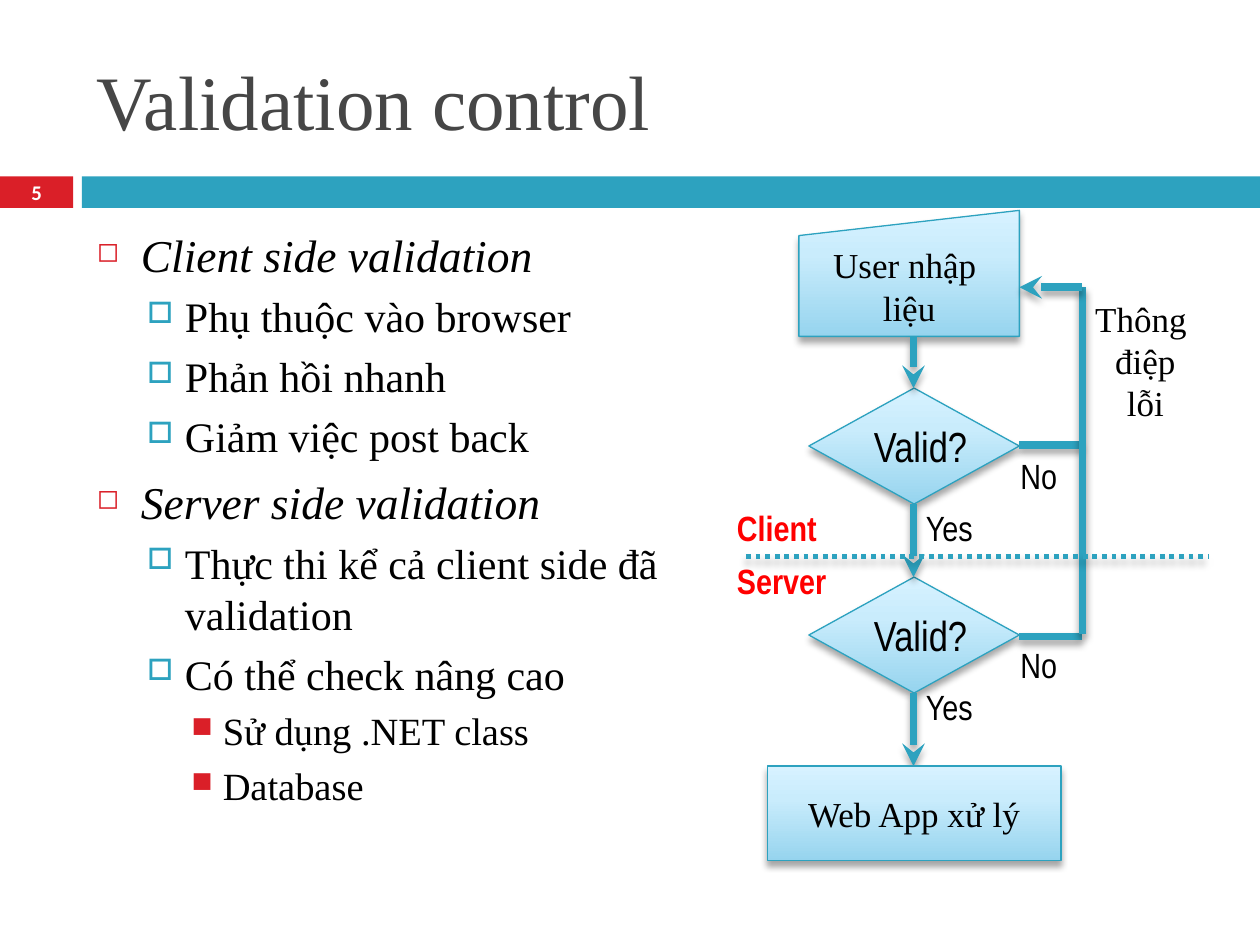
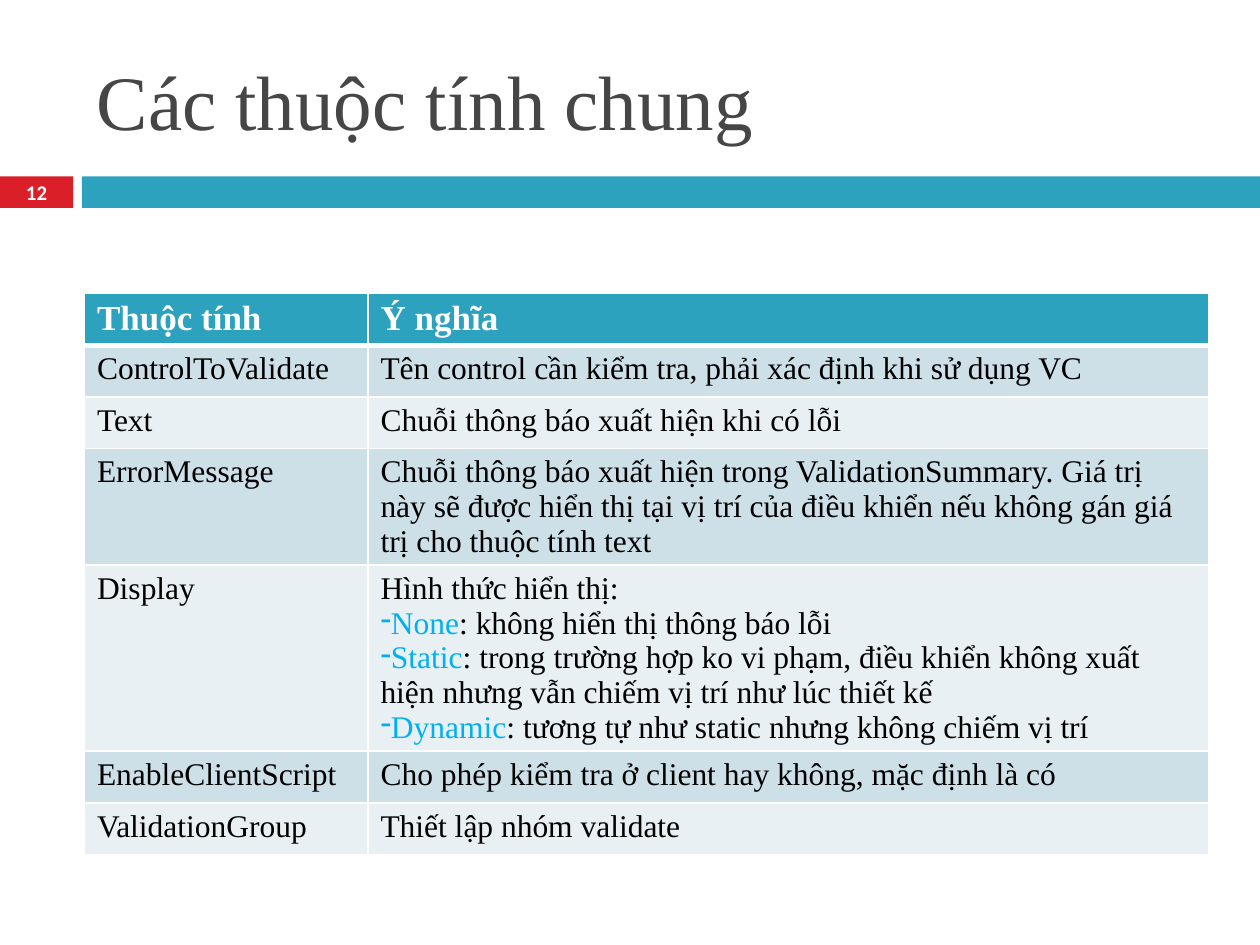
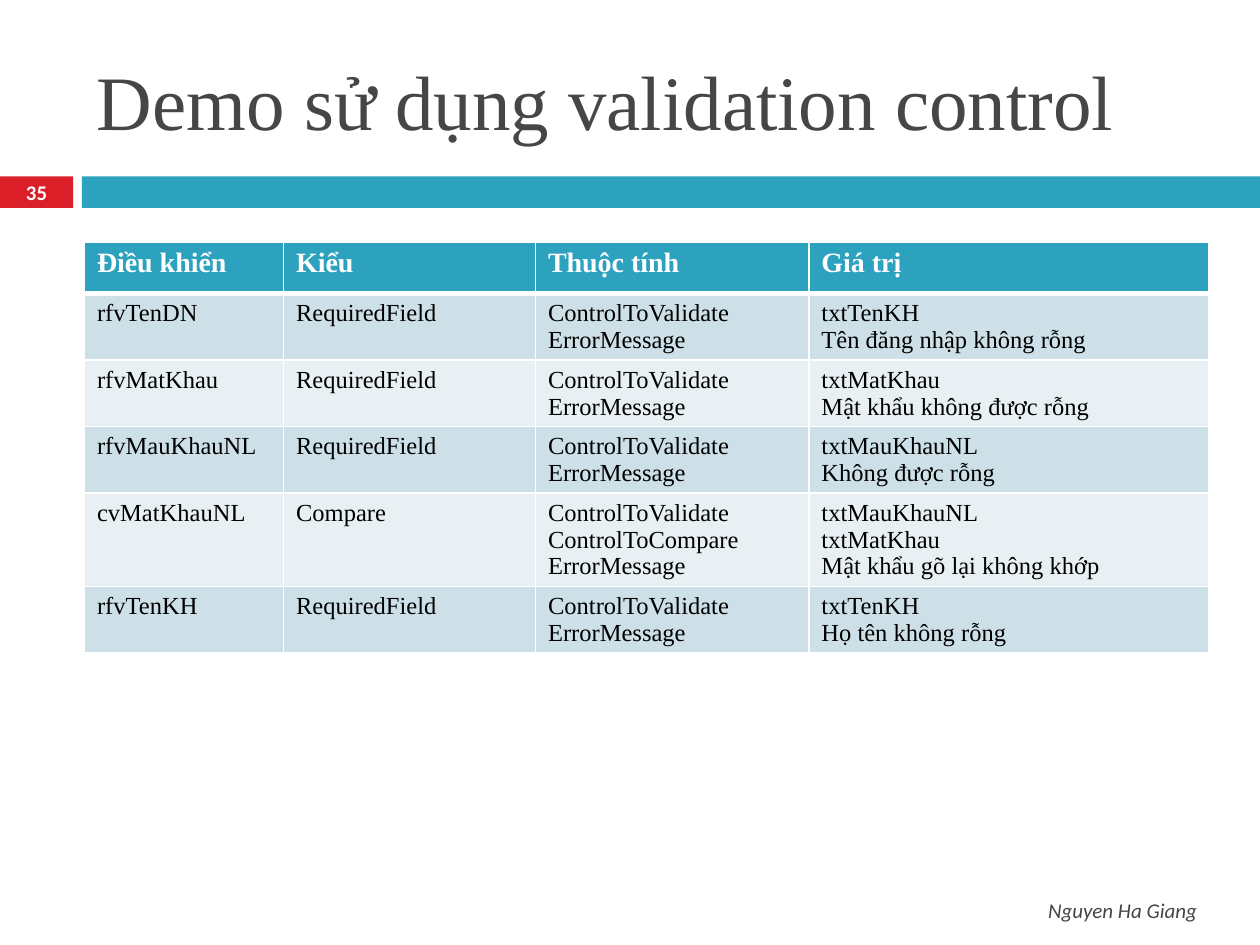
from copy import deepcopy

from lxml.etree import SubElement
from pptx import Presentation
from pptx.dml.color import RGBColor
from pptx.enum.dml import MSO_LINE
from pptx.enum.shapes import MSO_CONNECTOR, MSO_SHAPE
from pptx.enum.text import MSO_ANCHOR, MSO_AUTO_SIZE, PP_ALIGN
from pptx.oxml.ns import qn
from pptx.util import Inches, Pt

COLORS = {
    "teal": "2DA2BF", "red": "DA1F28", "title": "464646", "text": "000000",
    "white": "FFFFFF", "side": "FF0000", "term": "00B0F0",
    "band_dark": "CDE0E8", "band_light": "E8F0F4",
}
BOX_GRADIENT = [(0, "96D4EE"), (0.65, "C9ECFC"), (1, "D7F2FF")]
SERIF, NARROW, SANS = "Times New Roman", "Arial Narrow", "Calibri"

# Per outline level: text size, indent, hanging, space before, bullet, colour, bullet %
LEVELS = [
    (26, 0.35, 0.35, 7, "\u25fb", "red", 60),
    (24, 0.70, 0.30, 5.5, "\u25a1", "teal", 70),
    (22, 1.00, 0.25, 5, "\u25a0", "red", 75),
]
OUTLINE = [
    (0, "Client side validation"),
    (1, "Phụ thuộc vào browser"),
    (1, "Phản hồi nhanh"),
    (1, "Giảm việc post back"),
    (0, "Server side validation"),
    (1, "Thực thi kể cả client side đã validation"),
    (1, "Có thể check nâng cao"),
    (2, "Sử dụng .NET class"),
    (2, "Database"),
]
ATTRIBUTES = [
    ("Thuộc tính", "Ý nghĩa"),
    ("ControlToValidate", "Tên control cần kiểm tra, phải xác định khi sử dụng VC"),
    ("Text", "Chuỗi thông báo xuất hiện khi có lỗi"),
    ("ErrorMessage", "Chuỗi thông báo xuất hiện trong ValidationSummary. Giá trị này sẽ "
     "được hiển thị tại vị trí của điều khiển nếu không gán giá trị cho thuộc tính text"),
    ("Display", "Hình thức hiển thị:\n"
     "-None: không hiển thị thông báo lỗi\n"
     "-Static: trong trường hợp ko vi phạm, điều khiển không xuất hiện nhưng vẫn "
     "chiếm vị trí như lúc thiết kế\n"
     "-Dynamic: tương tự như static nhưng không chiếm vị trí"),
    ("EnableClientScript", "Cho phép kiểm tra ở client hay không, mặc định là có"),
    ("ValidationGroup", "Thiết lập nhóm validate"),
]
REQUIRED = ("RequiredField", "ControlToValidate\nErrorMessage")
DEMO = [
    ("Điều khiển", "Kiểu", "Thuộc tính", "Giá trị"),
    ("rfvTenDN", *REQUIRED, "txtTenKH\nTên đăng nhập không rỗng"),
    ("rfvMatKhau", *REQUIRED, "txtMatKhau\nMật khẩu không được rỗng"),
    ("rfvMauKhauNL", *REQUIRED, "txtMauKhauNL\nKhông được rỗng"),
    ("cvMatKhauNL", "Compare", "ControlToValidate\nControlToCompare\nErrorMessage",
     "txtMauKhauNL\ntxtMatKhau\nMật khẩu gõ lại không khớp"),
    ("rfvTenKH", *REQUIRED, "txtTenKH\nHọ tên không rỗng"),
]


def rgb(name):
    """Return the palette colour of that name."""
    return RGBColor.from_string(COLORS[name])


def style_run(run, size, font, color="text", bold=False, italic=False):
    """Format one run."""
    run.font.size = Pt(size)
    run.font.name = font
    run.font.color.rgb = rgb(color)
    run.font.bold = bold
    run.font.italic = italic


def write(frame, text, size, font, align=PP_ALIGN.LEFT, **look):
    """Fill a text frame with evenly formatted paragraphs."""
    frame.text = text
    for paragraph in frame.paragraphs:
        paragraph.alignment = align
        for run in paragraph.runs:
            style_run(run, size, font, **look)


def add_text(shapes, box, text, size, font, anchor=MSO_ANCHOR.MIDDLE, **look):
    """Add a wrapping text box."""
    frame = shapes.add_textbox(*map(Inches, box)).text_frame
    frame.word_wrap = True
    frame.vertical_anchor = anchor
    write(frame, text, size, font, **look)
    return frame


def add_label(shapes, box, text, font=NARROW, **look):
    """Add a flowchart label that fits its text."""
    frame = add_text(shapes, box, text, 20, font, MSO_ANCHOR.TOP, **look)
    frame.word_wrap = False
    frame.auto_size = MSO_AUTO_SIZE.SHAPE_TO_FIT_TEXT


def add_band(shapes, left, width, color):
    """Add one part of the band under the title."""
    band = shapes.add_shape(MSO_SHAPE.RECTANGLE, Inches(left), Inches(1.4),
                            Inches(width), Inches(0.25))
    band.shadow.inherit = False
    band.fill.solid()
    band.fill.fore_color.rgb = rgb(color)
    band.line.fill.background()


def add_page(prs, title, number):
    """Add a slide with the shared title, band and page number."""
    slide = prs.slides.add_slide(prs.slide_layouts[6])
    add_band(slide.shapes, 0, 0.58, "red")
    add_band(slide.shapes, 0.65, 9.35, "teal")
    add_text(slide.shapes, (0.67, 0.25, 8.92, 1.08), title, 44, SERIF, color="title")
    add_text(slide.shapes, (0, 1.39, 0.58, 0.27), str(number), 11.9, SANS,
             align=PP_ALIGN.CENTER, color="white", bold=True)
    return slide


def add_outline(slide, box, items):
    """Add the bulleted outline."""
    text = "\n".join(item for _, item in items)
    frame = add_text(slide.shapes, box, text, 24, SERIF, MSO_ANCHOR.TOP)
    for paragraph, (level, _) in zip(frame.paragraphs, items):
        size, indent, hanging, before, bullet, color, percent = LEVELS[level]
        paragraph.level = level
        paragraph.space_before = Pt(before)
        style_run(paragraph.runs[0], size, SERIF, italic=level == 0)
        props = paragraph._p.get_or_add_pPr()
        props.set("marL", str(Inches(indent)))
        props.set("indent", str(-Inches(hanging)))
        bullet_color = SubElement(props, qn("a:buClr"))
        SubElement(bullet_color, qn("a:srgbClr"), val=COLORS[color])
        SubElement(props, qn("a:buSzPct"), val=str(percent * 1000))
        SubElement(props, qn("a:buChar"), char=bullet)


def add_shadow(effects):
    """Put the soft downward shadow into an effect list."""
    shadow = SubElement(effects, qn("a:outerShdw"), blurRad=str(Pt(4)), dist=str(Pt(3)),
                        dir="5400000", rotWithShape="0")
    color = SubElement(shadow, qn("a:srgbClr"), val=COLORS["text"])
    SubElement(color, qn("a:alpha"), val="35000")


def add_step(shapes, preset, box, text, size=20, font=SERIF, align=PP_ALIGN.CENTER):
    """Add a flowchart step with gradient and shadow."""
    step = shapes.add_shape(preset, *map(Inches, box))
    step.fill.gradient()
    step.fill.gradient_angle = 90
    stops = step._element.spPr.find(".//" + qn("a:gsLst"))
    stops.append(deepcopy(stops[-1]))
    for stop, (position, color) in zip(step.fill.gradient_stops, BOX_GRADIENT):
        stop.position = position
        stop.color.rgb = RGBColor.from_string(color)
    step.line.color.rgb = rgb("teal")
    step.line.width = Pt(0.75)
    step.shadow.inherit = False
    add_shadow(step._element.spPr.find(qn("a:effectLst")))
    step.text_frame.word_wrap = False
    step.text_frame.vertical_anchor = MSO_ANCHOR.MIDDLE
    write(step.text_frame, text, size, font, align)


def add_flow(shapes, start, end, arrow=False, width=4.33, dash=None):
    """Add a flow line, with an arrowhead at its end if wanted."""
    flow = shapes.add_connector(MSO_CONNECTOR.STRAIGHT, *map(Inches, start + end))
    flow.line.color.rgb = rgb("teal")
    flow.line.width = Pt(width)
    if dash:
        flow.line.dash_style = dash
    if arrow:
        SubElement(flow.line._get_or_add_ln(), qn("a:tailEnd"), type="stealth")
    add_shadow(SubElement(flow._element.spPr, qn("a:effectLst")))


def add_flowchart(slide):
    """Draw the validation flow from user input to the application."""
    shapes = slide.shapes.add_group_shape().shapes
    middle, right, back = 7.25, 8.09, 8.59
    for top in (3.08, 4.58):
        add_step(shapes, MSO_SHAPE.FLOWCHART_DECISION, (6.42, top, 1.67, 0.92),
                 "Valid?", 24, NARROW, PP_ALIGN.LEFT)
        add_label(shapes, (8, top + 0.48, 0.51, 0.43), "No")
    add_step(shapes, MSO_SHAPE.FLOWCHART_MANUAL_INPUT, (6.34, 1.67, 1.75, 1),
             "User nhập \nliệu")
    for top in (3.97, 5.39):
        add_label(shapes, (middle, top, 0.61, 0.43), "Yes")
    for top, bottom in ((2.67, 3.08), (4, 4.58), (5.5, 6.08)):
        add_flow(shapes, (middle, top), (middle, bottom), arrow=True)
    for y in (5.05, 3.53):
        add_flow(shapes, (right, y), (back, y))
    add_flow(shapes, (back, 2.28), (back, 5.03))
    add_flow(shapes, (back, 2.28), (right, 2.28), arrow=True)
    add_label(shapes, (back, 2.31, 1, 1.11), "Thông \nđiệp\nlỗi", SERIF,
              align=PP_ALIGN.CENTER)
    add_flow(shapes, (5.92, 4.42), (9.59, 4.42), width=2.75, dash=MSO_LINE.ROUND_DOT)
    for side, top in (("Client", 3.97), ("Server", 4.39)):
        add_label(shapes, (5.75, top, 0.95, 0.43), side, color="side", bold=True)
    add_step(shapes, MSO_SHAPE.FLOWCHART_PROCESS, (6.09, 6.08, 2.33, 0.75),
             "Web App xử lý")


def add_borders(cell, row):
    """Give a cell white borders, thick between header and body."""
    thick = {0: "lnB", 1: "lnT"}.get(row)
    for side in ("lnL", "lnR", "lnT", "lnB"):
        width = Pt(3 if side == thick else 1)
        border = SubElement(cell._tc.get_or_add_tcPr(), qn("a:" + side), w=str(width))
        fill = SubElement(border, qn("a:solidFill"))
        SubElement(fill, qn("a:srgbClr"), val=COLORS["white"])


def mark_option(paragraph, size):
    """Turn a '-Term: meaning' line into a dash bullet with a coloured term."""
    term, _, meaning = paragraph.text.removeprefix("-").partition(":")
    paragraph.text = term
    style_run(paragraph.runs[0], size, SERIF, "term")
    rest = paragraph.add_run()
    rest.text = ":" + meaning
    style_run(rest, size, SERIF)
    SubElement(paragraph._p.get_or_add_pPr(), qn("a:buChar"), char="-")


def add_grid(slide, top, widths, rows, header_size, body_size):
    """Add a banded table whose rows grow with their text."""
    row_height, line_ratio = 0.41, 1.1
    table = slide.shapes.add_table(
        len(rows), len(widths), Inches(0.67), Inches(top),
        Inches(sum(widths)), Inches(row_height * len(rows))).table
    for column, width in zip(table.columns, widths):
        column.width = Inches(width)
    for r, values in enumerate(rows):
        table.rows[r].height = Inches(row_height)
        header = r == 0
        size = header_size if header else body_size
        band = "teal" if header else "band_dark" if r % 2 else "band_light"
        for c, value in enumerate(values):
            cell = table.cell(r, c)
            add_borders(cell, r)
            cell.fill.solid()
            cell.fill.fore_color.rgb = rgb(band)
            write(cell.text_frame, value, size, SERIF,
                  color="white" if header else "text", bold=header)
            for paragraph in cell.text_frame.paragraphs:
                paragraph.line_spacing = Pt(size * line_ratio)
                if paragraph.text.startswith("-"):
                    mark_option(paragraph, size)


def main():
    """Build the three slides and save them."""
    prs = Presentation()
    prs.slide_width, prs.slide_height = Inches(10), Inches(7.5)

    overview = add_page(prs, "Validation control", 5)
    add_outline(overview, (0.67, 1.75, 5.5, 4.92), OUTLINE)
    add_flowchart(overview)

    attributes = add_page(prs, "Các thuộc tính chung", 12)
    add_grid(attributes, 2.33, (2.25, 6.67), ATTRIBUTES, 20, 18)

    demo = add_page(prs, "Demo sử dụng validation control", 35)
    add_grid(demo, 1.92, (1.58, 2, 2.17, 3.17), DEMO, 16, 14)
    add_text(demo.shapes, (3.67, 7.02, 5.93, 0.4), "Nguyen Ha Giang", 12, SANS,
             align=PP_ALIGN.RIGHT, color="title", italic=True)

    prs.save("out.pptx")


main()
